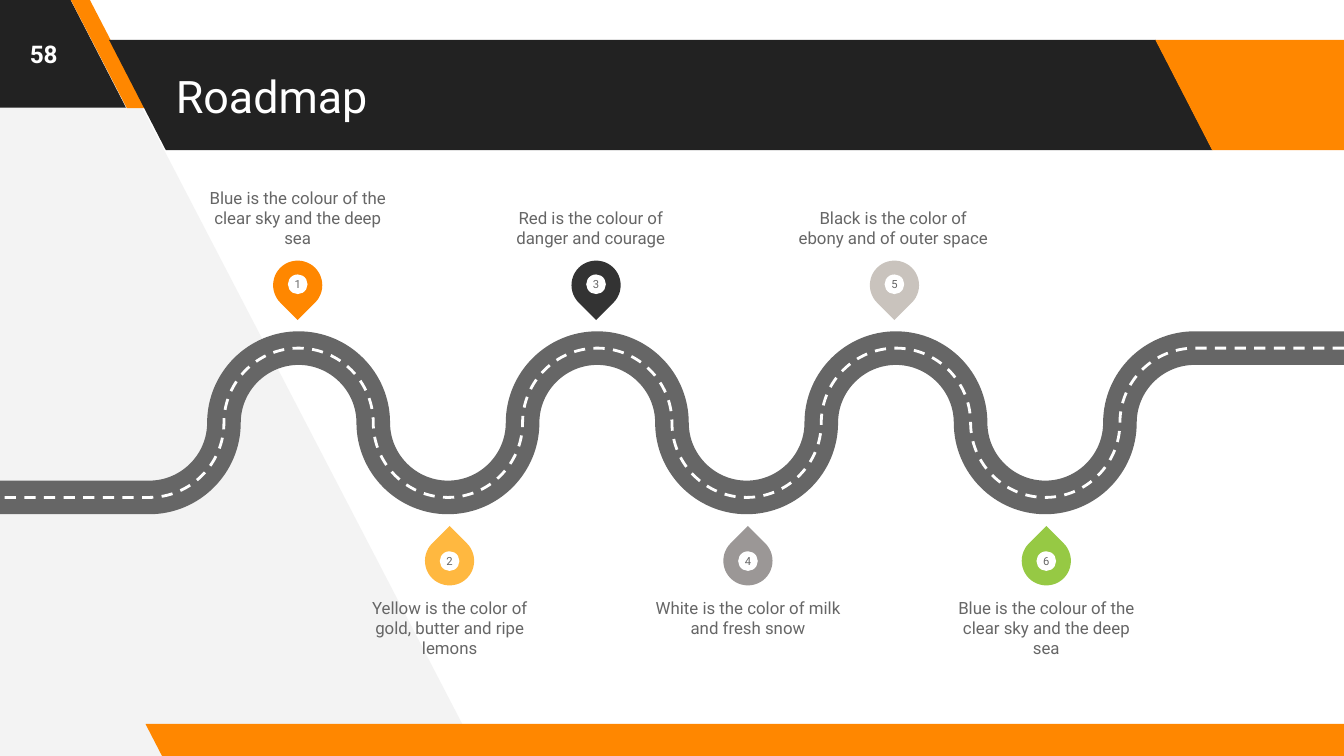
from dataclasses import dataclass
from math import cos, pi

from lxml.etree import SubElement
from pptx import Presentation
from pptx.dml.color import RGBColor
from pptx.enum.dml import MSO_LINE
from pptx.enum.shapes import MSO_SHAPE
from pptx.enum.text import MSO_ANCHOR, PP_ALIGN
from pptx.oxml.ns import qn
from pptx.shapes.autoshape import Shape
from pptx.slide import Slide
from pptx.text.text import TextFrame
from pptx.util import Inches, Pt

WHITE = RGBColor(0xFF, 0xFF, 0xFF)
PALE = RGBColor(0xF3, 0xF3, 0xF3)
BLACK = RGBColor(0x22, 0x22, 0x22)
CHARCOAL = RGBColor(0x33, 0x33, 0x33)
GRAY = RGBColor(0x66, 0x66, 0x66)
STONE = RGBColor(0x9B, 0x97, 0x96)
SAND = RGBColor(0xC9, 0xC3, 0xBD)
ORANGE = RGBColor(0xFF, 0x87, 0x00)
YELLOW = RGBColor(0xFF, 0xB8, 0x40)
GREEN = RGBColor(0x96, 0xC9, 0x44)

FONT = "Roboto"
SLIDE_WIDTH = Inches(10)
SLIDE_HEIGHT = Inches(5.625)
GRID_COLUMNS = 100
CELL = SLIDE_WIDTH / GRID_COLUMNS

BEND_RADIUS = GRID_COLUMNS / 18
FIRST_BEND, LAST_BEND = 2, 16
ROAD_MIDDLE = 31.46
CURVE_PULL = 0.55

PIN_SPACING = 11.1
PIN_SIZE = 3.66
DOT_SIZE = 1.46
CAPTION_WIDTH = 14.1
CAPTION_HEIGHT = 5.8

Point = tuple[float, float]


@dataclass(frozen=True)
class Box:
    left: float
    top: float
    width: float
    height: float

    def lengths(self) -> tuple[int, int, int, int]:
        return cells(self.left), cells(self.top), cells(self.width), cells(self.height)


@dataclass(frozen=True)
class Band:
    box: Box
    color: RGBColor
    slant: float = 0.515


@dataclass(frozen=True)
class Milestone:
    caption: str
    color: RGBColor
    caption_shift: float = 0


@dataclass(frozen=True)
class Side:
    pin_middle: float
    dot_middle: float
    rotation: int
    caption_top: float
    anchor: MSO_ANCHOR
    shift: float


BANDS = [
    Band(Box(-9.9, -0.2, 19.27, 8.2), BLACK),
    Band(Box(5.2, -0.15, 5.67, 8.2), ORANGE, 0.75),
    Band(Box(8.12, 2.97, 82.1, 8.2), BLACK),
    Band(Box(85.97, 2.97, 19.2, 8.2), ORANGE),
    Band(Box(10.83, 53.87, 91.5, 2.5), ORANGE),
]

ABOVE = Side(21.22, 21.15, 135, 12.65, MSO_ANCHOR.BOTTOM, -0.05)
BELOW = Side(41.73, 41.75, 315, 44.45, MSO_ANCHOR.TOP, 0.15)

MILESTONES = [
    Milestone("Blue is the colour of the clear sky and the deep sea", ORANGE),
    Milestone("Yellow is the color of gold, butter and ripe lemons", YELLOW),
    Milestone("Red is the colour of danger and courage", CHARCOAL, -0.4),
    Milestone("White is the color of milk and fresh snow", STONE),
    Milestone("Black is the color of ebony and of outer space", SAND, -0.1),
    Milestone("Blue is the colour of the clear sky and the deep sea", GREEN),
]


def cells(count: float) -> int:
    return round(count * CELL)


def centered(middle_x: float, middle_y: float, size: float) -> Box:
    return Box(middle_x - size / 2, middle_y - size / 2, size, size)


def paint(shape: Shape, color: RGBColor) -> None:
    shape.shadow.inherit = False
    shape.fill.solid()
    shape.fill.fore_color.rgb = color
    shape.line.fill.background()


def write(text_frame: TextFrame, text: str, size: float, color: RGBColor,
          anchor: MSO_ANCHOR = MSO_ANCHOR.MIDDLE, alignment: PP_ALIGN = PP_ALIGN.CENTER,
          inset: float = 0, bold: bool = False) -> None:
    text_frame.text = text
    text_frame.word_wrap = True
    text_frame.vertical_anchor = anchor
    text_frame.margin_left = text_frame.margin_right = cells(inset)
    text_frame.margin_top = text_frame.margin_bottom = cells(inset)
    paragraph = text_frame.paragraphs[0]
    paragraph.alignment = alignment
    font = paragraph.runs[0].font
    font.name, font.size, font.bold = FONT, Pt(size), bold
    font.color.rgb = color


def draw_outline(slide: Slide, points: list[Point], close: bool) -> Shape:
    corners = [(cells(x), cells(y)) for x, y in points]
    builder = slide.shapes.build_freeform(*corners[0])
    builder.add_line_segments(corners[1:], close=close)
    shape = builder.convert_to_shape()
    shape.shadow.inherit = False
    return shape


def draw_band(slide: Slide, band: Band) -> None:
    shape = slide.shapes.add_shape(MSO_SHAPE.PARALLELOGRAM, *band.box.lengths())
    shape.adjustments[0] = band.slant
    shape.element.spPr.get_or_add_xfrm().set("flipH", "1")
    paint(shape, band.color)


def road_points() -> list[Point]:
    bends = [(bend * BEND_RADIUS, ROAD_MIDDLE - BEND_RADIUS * cos(bend * pi / 2))
             for bend in range(LAST_BEND, FIRST_BEND - 1, -1)]
    return [(GRID_COLUMNS, bends[0][1]), *bends, (0, bends[-1][1])]


def round_bends(road: Shape, points: list[Point]) -> None:
    segments = list(road.element.iter(qn("a:lnTo")))
    for index in range(1, len(points) - 2):
        (start_x, start_y), (end_x, end_y) = points[index:index + 2]
        pull_x = CURVE_PULL * (end_x - start_x)
        pull_y = CURVE_PULL * (end_y - start_y)
        if index % 2:
            controls = [(start_x + pull_x, start_y), (end_x, end_y - pull_y)]
        else:
            controls = [(start_x, start_y + pull_y), (end_x - pull_x, end_y)]
        segment = segments[index]
        curve = segment.makeelement(qn("a:cubicBezTo"))
        for x, y in [*controls, (end_x, end_y)]:
            SubElement(curve, qn("a:pt"), x=str(cells(x) - road.left),
                       y=str(cells(y) - road.top))
        segment.getparent().replace(segment, curve)


def draw_road(slide: Slide, color: RGBColor, width: float, dash: MSO_LINE) -> None:
    points = road_points()
    road = draw_outline(slide, points, close=False)
    round_bends(road, points)
    road.fill.background()
    road.line.color.rgb = color
    road.line.width = Pt(width)
    road.line.dash_style = dash


def draw_milestone(slide: Slide, number: int, milestone: Milestone) -> None:
    side = ABOVE if number % 2 else BELOW
    middle = (number + 1) * PIN_SPACING + side.shift
    group = slide.shapes.add_group_shape()
    pin = group.shapes.add_shape(
        MSO_SHAPE.TEAR, *centered(middle, side.pin_middle, PIN_SIZE).lengths())
    pin.rotation = side.rotation
    paint(pin, milestone.color)
    dot = group.shapes.add_shape(
        MSO_SHAPE.OVAL, *centered(middle, side.dot_middle, DOT_SIZE).lengths())
    paint(dot, WHITE)
    write(dot.text_frame, str(number), 6, GRAY)
    box = Box(middle + milestone.caption_shift - CAPTION_WIDTH / 2,
              side.caption_top, CAPTION_WIDTH, CAPTION_HEIGHT)
    caption = slide.shapes.add_textbox(*box.lengths())
    write(caption.text_frame, milestone.caption, 9, GRAY, side.anchor)


def main() -> None:
    presentation = Presentation()
    presentation.slide_width = SLIDE_WIDTH
    presentation.slide_height = SLIDE_HEIGHT
    slide = presentation.slides.add_slide(presentation.slide_layouts[6])
    panel = draw_outline(
        slide, [(35.6, 56.2), (6.2, -0.4), (-0.6, -0.4), (-0.2, 56.6)], close=True)
    paint(panel, PALE)
    for band in BANDS:
        draw_band(slide, band)
    title = slide.shapes.add_textbox(*Box(12.1, 3, 73.5, 8.2).lengths())
    write(title.text_frame, "Roadmap", 24, WHITE, alignment=PP_ALIGN.LEFT, inset=1)
    page_number = slide.shapes.add_textbox(*Box(0, 0, 6.5, 8).lengths())
    write(page_number.text_frame, "58", 13, WHITE, inset=1, bold=True)
    draw_road(slide, GRAY, 18, MSO_LINE.SOLID)
    draw_road(slide, WHITE, 1.5, MSO_LINE.DASH)
    for number, milestone in enumerate(MILESTONES, start=1):
        draw_milestone(slide, number, milestone)
    presentation.save("out.pptx")


if __name__ == "__main__":
    main()
